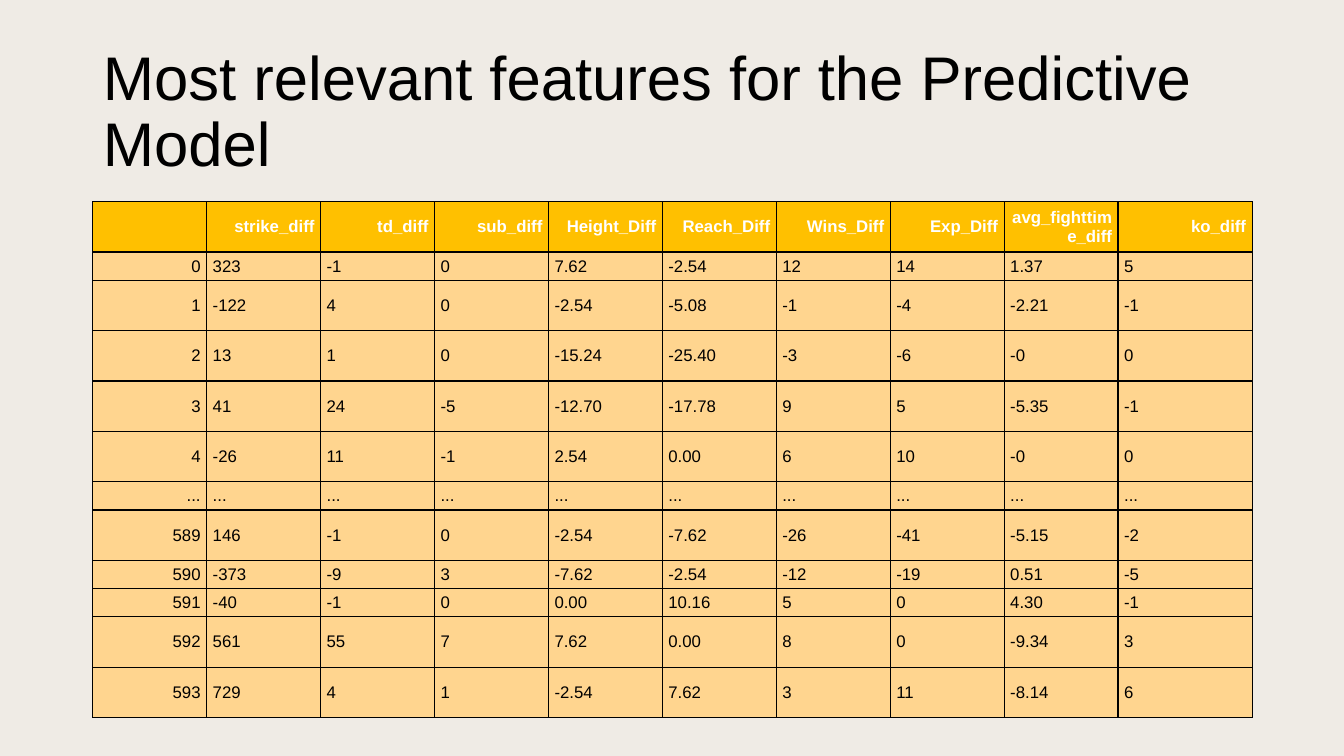
from pptx import Presentation
from pptx.dml.color import RGBColor as RGB
from pptx.enum.text import MSO_ANCHOR as Anchor, MSO_AUTO_SIZE as Auto, PP_ALIGN as Align
from pptx.oxml import parse_xml
from pptx.oxml.ns import nsdecls
from pptx.util import Inches, Pt

HEAD = ["", "strike_diff", "td_diff", "sub_diff", "Height_Diff", "Reach_Diff",
        "Wins_Diff", "Exp_Diff", "avg_fighttime_diff", "ko_diff"]
FIGHTS = [
    "0 323 -1 0 7.62 -2.54 12 14 1.37 5",
    "1 -122 4 0 -2.54 -5.08 -1 -4 -2.21 -1",
    "2 13 1 0 -15.24 -25.40 -3 -6 -0 0",
    "3 41 24 -5 -12.70 -17.78 9 5 -5.35 -1",
    "4 -26 11 -1 2.54 0.00 6 10 -0 0",
    "... ... ... ... ... ... ... ... ... ...",
    "589 146 -1 0 -2.54 -7.62 -26 -41 -5.15 -2",
    "590 -373 -9 3 -7.62 -2.54 -12 -19 0.51 -5",
    "591 -40 -1 0 0.00 10.16 5 0 4.30 -1",
    "592 561 55 7 7.62 0.00 8 0 -9.34 3",
    "593 729 4 1 -2.54 7.62 3 11 -8.14 6",
]
SHORT = {1, 6, 8, 9}  # rows of one line's height
COL_W = 1.13


def paint(fill, color):
    fill.solid()
    fill.fore_color.rgb = RGB.from_string(color)


def write(frame, text, size=12, color="000000", bold=False, align=Align.LEFT, space=1.0):
    para = frame.paragraphs[0]
    para.alignment = align
    para.line_spacing = space
    run = para.add_run()
    run.text = text
    font = run.font
    font.name, font.size, font.bold = "Arial", Pt(size), bold
    font.color.rgb = RGB.from_string(color)


def border(cell, color="000000", width=1):
    props = cell._tc.get_or_add_tcPr()
    for side in ("lnL", "lnR", "lnT", "lnB"):
        props.append(parse_xml(
            f'<a:{side} {nsdecls("a")} w="{Pt(width)}"><a:solidFill>'
            f'<a:srgbClr val="{color}"/></a:solidFill></a:{side}>'))


def add_title(slide, x, y, w, h):
    title = slide.shapes.title
    title.left, title.top, title.width, title.height = map(Inches, (x, y, w, h))
    frame = title.text_frame
    frame.word_wrap = True
    frame.auto_size = Auto.NONE
    frame.vertical_anchor = Anchor.MIDDLE
    write(frame, "Most relevant features for the Predictive Model", size=44, space=0.9)


def add_grid(slide, x, y, w, h):
    rows = [HEAD] + [line.split() for line in FIGHTS]
    last = len(HEAD) - 1
    grid = slide.shapes.add_table(len(rows), len(HEAD), *map(Inches, (x, y, w, h))).table
    grid.horz_banding = False

    # Column widths: the last one takes what is left
    for i, col in enumerate(grid.columns):
        col.width = Inches(COL_W if i < last else w - COL_W * last)

    # Cells
    for r, row in enumerate(rows):
        grid.rows[r].height = Inches(0.28 if r in SHORT else 0.5)
        top = r == 0
        for c, text in enumerate(row):
            cell = grid.cell(r, c)
            border(cell)
            paint(cell.fill, "FFC000" if top else "FFD58F")
            cell.vertical_anchor = Anchor.MIDDLE
            cell.margin_left = cell.margin_right = Inches(0.06)
            cell.margin_top = cell.margin_bottom = Inches(0.03)
            if text:
                write(cell.text_frame, text, bold=top,
                      color="FFFFFF" if top else "000000",
                      align=Align.RIGHT if top or c == 0 else Align.LEFT)


def main():
    deck = Presentation()
    deck.slide_width, deck.slide_height = Inches(13.33), Inches(7.5)
    slide = deck.slides.add_slide(deck.slide_layouts[5])
    paint(slide.background.fill, "EFEBE5")
    add_title(slide, 0.92, 0.4, 11.5, 1.45)
    add_grid(slide, 0.92, 2, 11.5, 5.1)
    deck.save("out.pptx")


if __name__ == "__main__":
    main()
